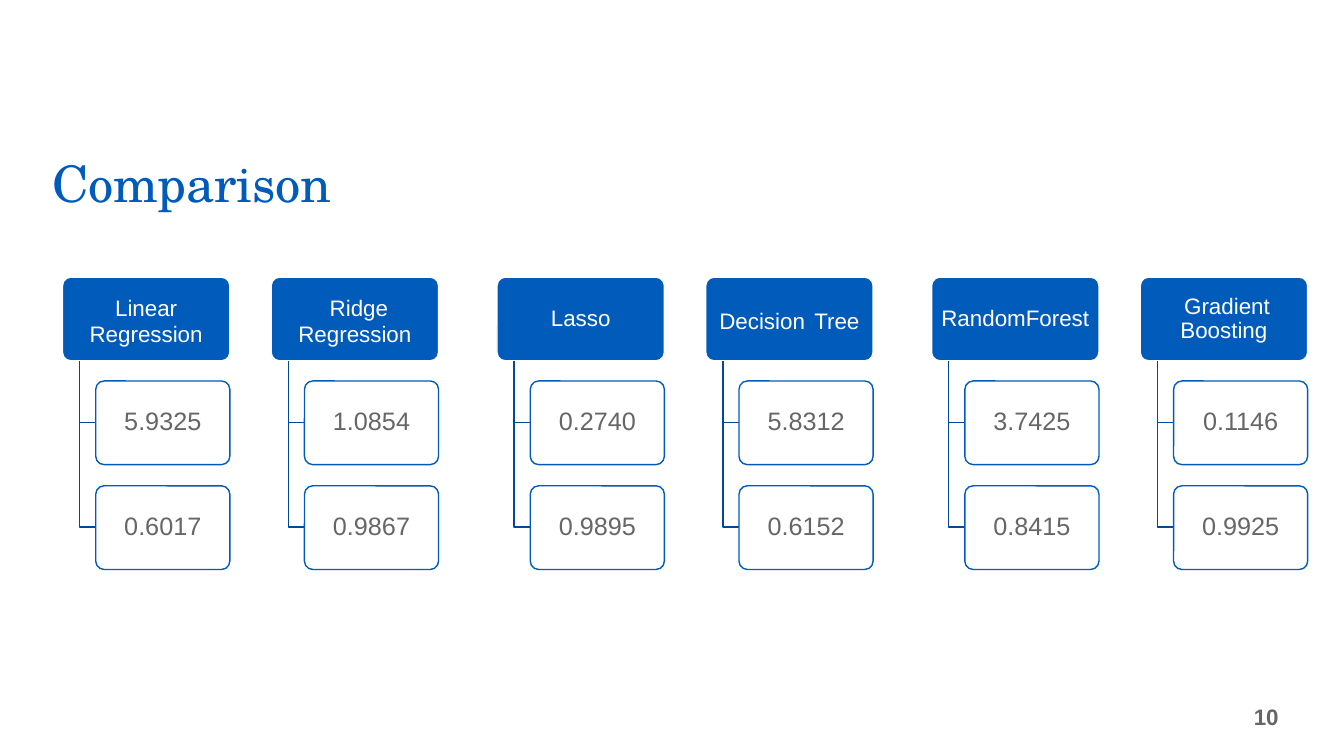
"""Build the slide that compares six regression models in three paired trees."""
import dataclasses

import lxml.etree
import pptx
import pptx.dml.color
import pptx.enum.shapes
import pptx.enum.text
import pptx.oxml.ns
import pptx.util

ALIGN = pptx.enum.text.PP_ALIGN
ANCHOR = pptx.enum.text.MSO_ANCHOR
PX = 9144


@dataclasses.dataclass(frozen=True)
class Theme:
    """Colours, fonts and type sizes of the slide."""
    blue: str = "005BBB"
    branch: str = "004996"
    grey: str = "666666"
    white: str = "FFFFFF"
    title_font: str = "TeX Gyre Schola"
    body_font: str = "Arial"
    title_size: int = 36
    label_size: int = 16
    value_size: int = 18
    line_width: int = 1


THEME = Theme()
PAIR_LEFT, PAIR_STEP, MODEL_STEP = 62, 431, 207
MODEL_TOP, MODEL_WIDTH, BOX_HEIGHT = 275, 166, 83
BRANCH_INDENT, VALUE_INDENT, VALUE_WIDTH = 17, 33, 133
VALUE_TOP, VALUE_STEP = 378, 104

MODELS = [
    (["Linear", " ", "Regression"], 21, ["5.9325", "0.6017"]),
    ([" ", "Ridge", " ", "Regression"], 21, ["1.0854", "0.9867"]),
    (["Lasso"], 16, ["0.2740", "0.9895"]),
    (["Decision", " ", "Tree"], 24, ["5.8312", "0.6152"]),
    (["RandomForest"], 16, ["3.7425", "0.8415"]),
    ([" Gradient Boosting"], 16, ["0.1146", "0.9925"]),
]


def rgb(code):
    """Return the colour object of a hex code."""
    return pptx.dml.color.RGBColor.from_string(code)


def px(*lengths):
    """Turn pixel lengths into EMU."""
    return [pptx.util.Emu(length * PX) for length in lengths]


def apply(target, values):
    """Set each named attribute on the target."""
    for name, value in values.items():
        setattr(target, name, value)


def write(box, runs, color, frame_format, para_format, font_format):
    """Fill a box with one paragraph of (text, size) runs."""
    frame = box.text_frame
    apply(frame, {"word_wrap": True, **frame_format})
    para = frame.paragraphs[0]
    apply(para, para_format)
    for text, size in runs:
        span = para.add_run()
        span.text = text
        apply(span.font, {"size": pptx.util.Pt(size), **font_format})
        span.font.color.rgb = rgb(color)


def outline(shape, color):
    """Give a shape a thin line and no shadow."""
    shape.shadow.inherit = False
    shape.line.color.rgb = rgb(color)
    shape.line.width = pptx.util.Pt(THEME.line_width)


def add_text(page, bounds, runs, color, frame_format, para_format, font_format):
    """Add a text box to the page."""
    box = page.shapes.add_textbox(*px(*bounds))
    write(box, runs, color, frame_format, para_format, font_format)


def add_box(group, bounds, runs, fill, line, color, inset):
    """Add a rounded box with centred text."""
    kind = pptx.enum.shapes.MSO_SHAPE.ROUNDED_RECTANGLE
    box = group.shapes.add_shape(kind, *px(*bounds))
    box.adjustments[0] = 0.1
    box.fill.solid()
    box.fill.fore_color.rgb = rgb(fill)
    outline(box, line)
    margins = ["margin_left", "margin_top", "margin_right", "margin_bottom"]
    frame_format = {"vertical_anchor": ANCHOR.MIDDLE,
                    **dict.fromkeys(margins, px(inset)[0])}
    write(box, runs, color, frame_format,
          {"alignment": ALIGN.CENTER, "line_spacing": 0.9},
          {"name": THEME.body_font})
    return box


def add_branch(group, left, top, right, bottom):
    """Add the elbow line from a model down to a value."""
    builder = group.shapes.build_freeform(*px(left, top))
    builder.add_line_segments([px(left, bottom), px(right, bottom)], close=False)
    branch = builder.convert_to_shape()
    branch.fill.background()
    outline(branch, THEME.branch)


def add_value(group, left, top, value):
    """Add a slightly see-through value box."""
    box = add_box(group, (left, top, VALUE_WIDTH, BOX_HEIGHT),
                  [(value, THEME.value_size)],
                  THEME.white, THEME.blue, THEME.grey, 6)
    qn = pptx.oxml.ns.qn
    fill_color = box._element.spPr.find(qn("a:solidFill")).find(qn("a:srgbClr"))
    lxml.etree.SubElement(fill_color, qn("a:alpha"), val="90000")


def add_model(group, left, label, gap_size, values):
    """Add a model heading with its values hanging below."""
    runs = [(text, gap_size if text == " " else THEME.label_size)
            for text in label]
    add_box(group, (left, MODEL_TOP, MODEL_WIDTH, BOX_HEIGHT), runs,
            THEME.blue, THEME.white, THEME.white, 5)
    for row, value in enumerate(values):
        top = VALUE_TOP + row * VALUE_STEP
        add_branch(group, left + BRANCH_INDENT, MODEL_TOP + BOX_HEIGHT,
                   left + VALUE_INDENT, top + BOX_HEIGHT // 2)
        add_value(group, left + VALUE_INDENT, top, value)


def main():
    """Build and save the deck."""
    deck = pptx.Presentation()
    deck.slide_width, deck.slide_height = px(1333, 750)
    page = deck.slides.add_slide(deck.slide_layouts[6])
    add_text(page, (42, 152, 760, 65), [("Comparison", THEME.title_size)],
             THEME.blue, {"vertical_anchor": ANCHOR.BOTTOM},
             {"line_spacing": 0.9}, {"name": THEME.title_font})
    add_text(page, (828, 691, 450, 40), [("10", THEME.label_size)],
             THEME.grey, {"vertical_anchor": ANCHOR.MIDDLE},
             {"alignment": ALIGN.RIGHT}, {"name": THEME.body_font, "bold": True})
    for pair in range(len(MODELS) // 2):
        group = page.shapes.add_group_shape()
        for side, model in enumerate(MODELS[2 * pair:2 * pair + 2]):
            left = PAIR_LEFT + pair * PAIR_STEP + side * MODEL_STEP
            add_model(group, left, *model)
    deck.save("out.pptx")


if __name__ == "__main__":
    main()
